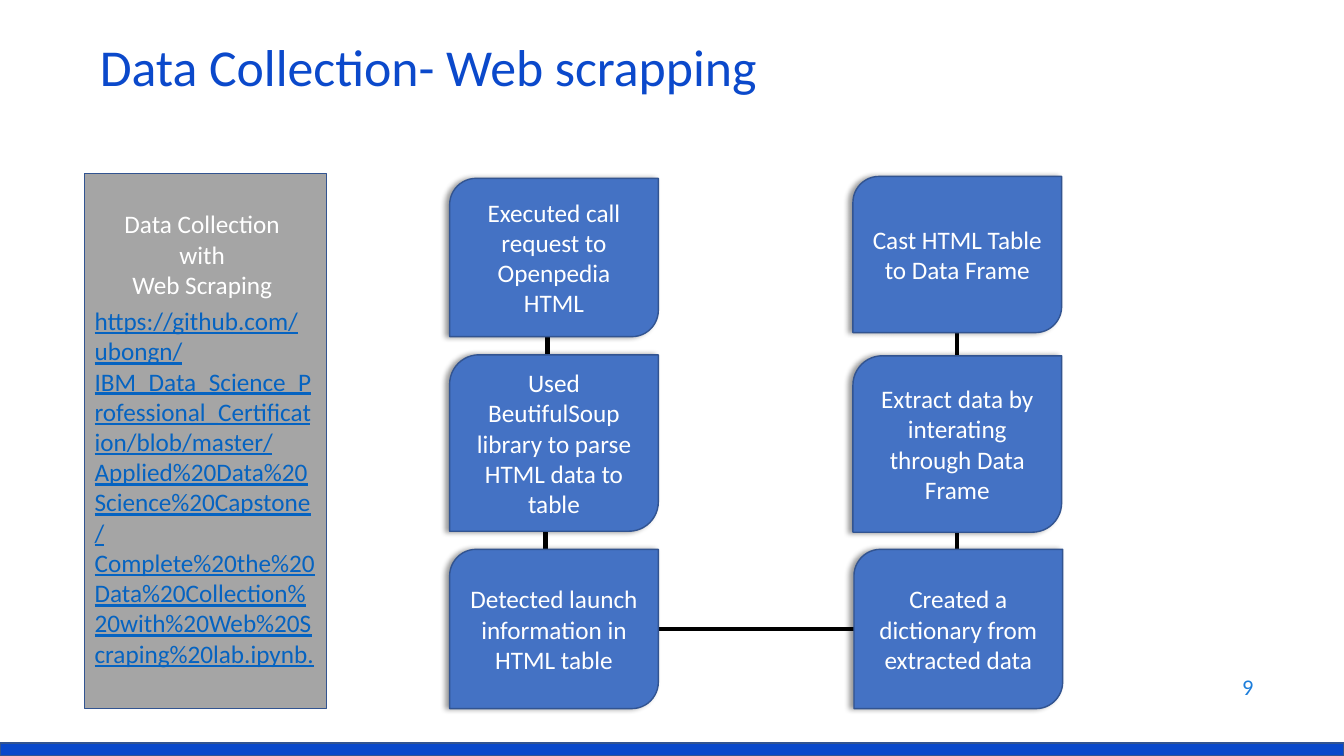
from pptx import Presentation
from pptx.dml.color import RGBColor
from pptx.enum.shapes import MSO_CONNECTOR as CONN, MSO_SHAPE as SHAPE
from pptx.enum.text import MSO_ANCHOR as ANCHOR, PP_ALIGN as ALIGN
from pptx.oxml import parse_xml
from pptx.oxml.ns import nsdecls
from pptx.util import Inches, Pt


def rgb(value):
    return RGBColor.from_string(value)


def write(sp, lines, size, color, align, anchor=ANCHOR.MIDDLE):
    tf = sp.text_frame
    tf.word_wrap = True
    tf.vertical_anchor = anchor
    tf.text = "\n".join(lines)
    for p in tf.paragraphs:
        p.alignment = align
        p.font.name = "Calibri"
        p.font.size = Pt(size)
        p.font.color.rgb = rgb(color)
    return tf


prs = Presentation()
prs.slide_width, prs.slide_height = Inches(13.33), Inches(7.5)
s = prs.slides.add_slide(prs.slide_layouts[5])

# Connecting lines, behind the step boxes
links = [
    (8.47, 6.24, 6.52, 6.24),
    (9.49, 3.75, 9.49, 3.3),
    (9.49, 5.29, 9.49, 5.56),
    (5.41, 5.13, 5.41, 5.56),
    (5.43, 3.3, 5.43, 3.53),
]
for link in links:
    line = s.shapes.add_connector(CONN.STRAIGHT, *map(Inches, link))
    line.line.color.rgb = rgb("000000")
    line.line.width = Pt(3)
    line._element.spPr.append(parse_xml(f"<a:effectLst {nsdecls('a')}/>"))

# Title
title = s.shapes.title
title.left, title.top = Inches(0.89), Inches(0.43)
title.width, title.height = Inches(11.5), Inches(0.6)
tf = write(title, ["Data Collection- Web scrapping"], 37, "0B49CB", ALIGN.LEFT)
tf.paragraphs[0].line_spacing = 0.7

# Step boxes
SHADOW = (
    f'<a:effectLst {nsdecls("a")}>'
    '<a:outerShdw blurRad="50800" dist="38100" dir="10800000" algn="r" rotWithShape="0">'
    '<a:srgbClr val="000000"><a:alpha val="40000"/></a:srgbClr>'
    "</a:outerShdw></a:effectLst>"
)
steps = [
    (4.46, 1.77, 1.57, "Executed call request to Openpedia HTML"),
    (4.46, 3.52, 1.75, "Used BeutifulSoup library to parse HTML data to table"),
    (4.46, 5.45, 1.58, "Detected launch information in HTML table"),
    (8.47, 5.45, 1.58, "Created a dictionary from extracted data"),
    (8.46, 3.53, 1.75, "Extract data by interating through Data Frame"),
    (8.46, 1.75, 1.55, "Cast HTML Table to Data Frame"),
]
for left, top, height, text in steps:
    sp = s.shapes.add_shape(SHAPE.ROUND_2_DIAG_RECTANGLE, Inches(left), Inches(top),
                            Inches(2.07), Inches(height))
    sp.fill.solid()
    sp.fill.fore_color.rgb = rgb("4472C4")
    sp.line.color.rgb = rgb("325491")
    sp.line.width = Pt(1)
    sp._element.spPr.append(parse_xml(SHADOW))
    write(sp, [text], 18, "FFFFFF", ALIGN.CENTER)

# Side panel and footer bar
for box, fill in [((0.84, 1.72, 2.4, 5.31), "A5A5A5"), ((0, 7.37, 13.33, 0.13), "0948CB")]:
    sp = s.shapes.add_shape(SHAPE.RECTANGLE, *map(Inches, box))
    sp.shadow.inherit = False
    sp.fill.solid()
    sp.fill.fore_color.rgb = rgb(fill)
    sp.line.color.rgb = rgb("325491")
    sp.line.width = Pt(1)

# Panel heading and address
heading = s.shapes.add_textbox(Inches(0.98), Inches(2.02), Inches(2.05), Inches(1.01))
write(heading, ["Data Collection with", "Web Scraping"], 18, "FFFFFF", ALIGN.CENTER, ANCHOR.TOP)

address = s.shapes.add_textbox(Inches(0.84), Inches(2.98), Inches(2.4), Inches(4.05))
url = ("https://github.com/ubongn/IBM_Data_Science_Professional_Certification/blob/master/"
       "Applied%20Data%20Science%20Capstone/"
       "Complete%20the%20Data%20Collection%20with%20Web%20Scraping%20lab.ipynb.")
tf = write(address, [url], 18, "0563C1", ALIGN.LEFT, ANCHOR.TOP)
tf.paragraphs[0].font.underline = True

# Page number
number = s.shapes.add_textbox(Inches(9.53), Inches(6.59), Inches(3), Inches(0.44))
write(number, ["9"], 16, "1C7DDB", ALIGN.RIGHT)

prs.save("out.pptx")
